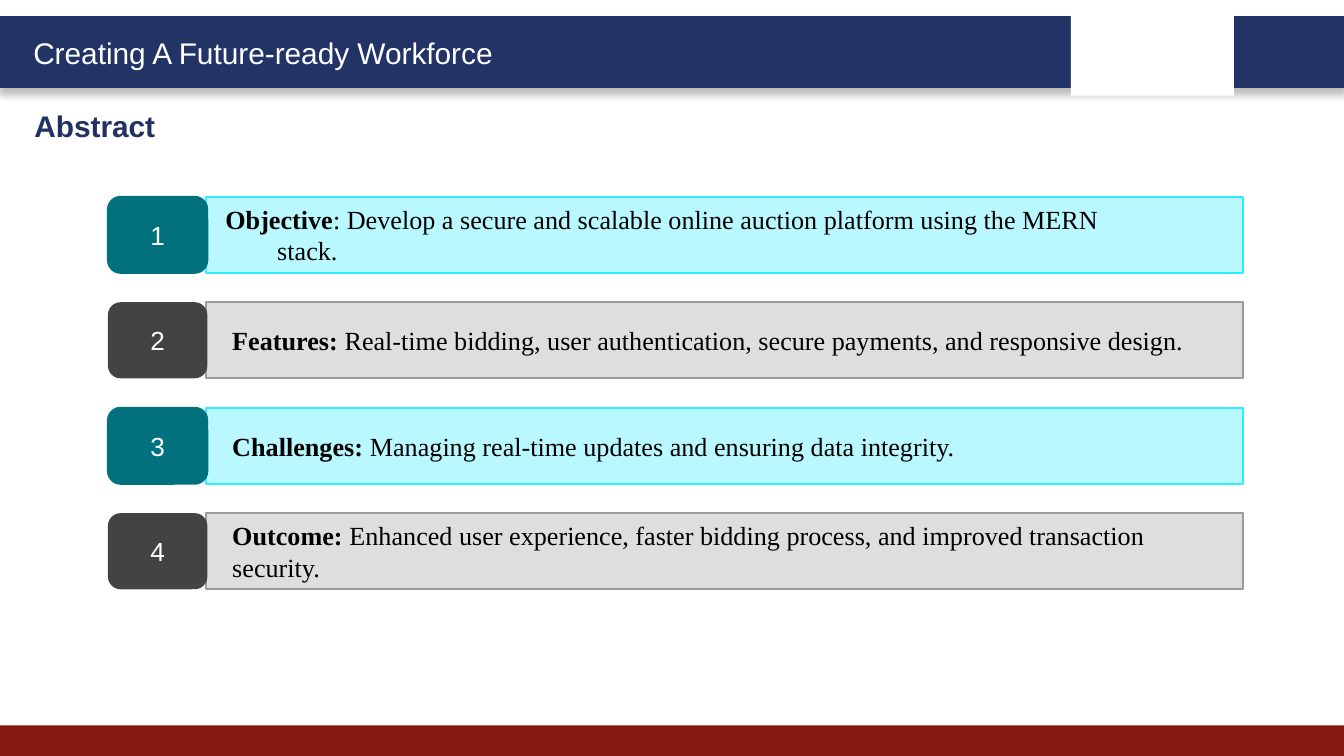
from lxml.etree import SubElement
from pptx import Presentation
from pptx.dml.color import RGBColor
from pptx.enum.shapes import MSO_SHAPE
from pptx.enum.text import MSO_ANCHOR, PP_ALIGN
from pptx.oxml.ns import qn
from pptx.util import Cm, Pt

WIDTH, HEIGHT = 25.4, 14.29
ROWS = [
    ("Objective", ": Develop a secure and scalable online auction platform using the MERN stack."),
    ("Features:", " Real-time bidding, user authentication, secure payments, and responsive design."),
    ("Challenges:", " Managing real-time updates and ensuring data integrity."),
    ("Outcome:", " Enhanced user experience, faster bidding process, and improved transaction security."),
]
# badge fill, badge line, panel fill, panel line
TEAL = ("00717D", "00717D", "BAF8FF", "31EBFF")
GREY = ("434343", None, "DEDEDE", "9B9B9B")


def color(hex_code):
    return RGBColor.from_string(hex_code)


def write(shape, *runs, size=14, font="Arial", ink="000000", bold_first=False,
          align=PP_ALIGN.LEFT, anchor=MSO_ANCHOR.MIDDLE, left=0, first=0, right_inset=0.25):
    """Fill the shape with one paragraph; left and first are its indents in cm."""
    frame = shape.text_frame
    frame.word_wrap = True
    frame.vertical_anchor = anchor
    frame.margin_left, frame.margin_right = Cm(0.25), Cm(right_inset)
    frame.margin_top = frame.margin_bottom = Cm(0.13)
    paragraph = frame.paragraphs[0]
    paragraph.alignment = align
    properties = paragraph._p.get_or_add_pPr()
    properties.set("marL", str(Cm(left)))
    properties.set("indent", str(Cm(first)))
    for index, words in enumerate(runs):
        run = paragraph.add_run()
        run.text = words
        run.font.size, run.font.name = Pt(size), font
        run.font.bold = bold_first and index == 0
        run.font.color.rgb = color(ink)


def add_block(slide, x, y, w, h, fill, line=None, line_width=1, kind=MSO_SHAPE.RECTANGLE):
    block = slide.shapes.add_shape(kind, Cm(x), Cm(y), Cm(w), Cm(h))
    block.shadow.inherit = False
    block.fill.solid()
    block.fill.fore_color.rgb = color(fill)
    if line:
        block.line.color.rgb = color(line)
        block.line.width = Pt(line_width)
    else:
        block.line.fill.background()
    return block


def cast_shadow(block):
    effects = block._element.spPr.find(qn("a:effectLst"))
    shadow = SubElement(effects, qn("a:outerShdw"), blurRad=str(Pt(4)), dist=str(Pt(3)),
                        dir="5400000", algn="t", rotWithShape="0")
    tint = SubElement(shadow, qn("a:srgbClr"), val="000000")
    SubElement(tint, qn("a:alpha"), val="25000")


def add_header(slide, x, y, w, h):
    cast_shadow(add_block(slide, x, y, w, h, "223366", "223366", 2))
    add_block(slide, x + 20.24, y - 0.15, 3.08, 1.63, "FFFFFF")
    tagline = slide.shapes.add_textbox(Cm(x + 0.38), Cm(y + 0.2), Cm(9.6), Cm(0.94))
    write(tagline, "Creating A Future-ready Workforce", size=16, ink="FFFFFF",
          anchor=MSO_ANCHOR.TOP)


def add_title(slide, x, y, w, h):
    title = slide.shapes.title
    title.left, title.top, title.width, title.height = Cm(x), Cm(y), Cm(w), Cm(h)
    write(title, "Abstract", size=16, ink="213163", bold_first=True, anchor=MSO_ANCHOR.TOP)


def add_rows(slide, x, y, w, h, row_height=1.44, badge_width=1.88):
    pitch = (h - row_height) / (len(ROWS) - 1)
    for index, (heading, detail) in enumerate(ROWS):
        top = y + index * pitch
        badge_fill, badge_line, panel_fill, panel_line = GREY if index % 2 else TEAL
        panel = add_block(slide, x + badge_width - 0.03, top, w - badge_width + 0.03,
                          row_height, panel_fill, panel_line)
        # The first row hangs its second line and wraps early
        indents = {"left": 0.25} if index else {"left": 1.1, "first": -0.98, "right_inset": 2.1}
        write(panel, heading, detail, font="Times New Roman", bold_first=True, **indents)
        badge = add_block(slide, x, top, badge_width, row_height, badge_fill, badge_line,
                          kind=MSO_SHAPE.ROUNDED_RECTANGLE)
        write(badge, str(index + 1), ink="FFFFFF", align=PP_ALIGN.CENTER)


def main():
    deck = Presentation()
    deck.slide_width, deck.slide_height = Cm(WIDTH), Cm(HEIGHT)
    slide = deck.slides.add_slide(deck.slide_layouts[5])
    add_header(slide, 0, 0.33, WIDTH, 1.3)
    add_block(slide, 0, 13.71, WIDTH, HEIGHT - 13.71, "851910")
    add_title(slide, 0.4, 1.9, 12.3, 0.94)
    add_rows(slide, 2.04, 3.72, 21.46, 7.42)
    deck.save("out.pptx")


if __name__ == "__main__":
    main()
